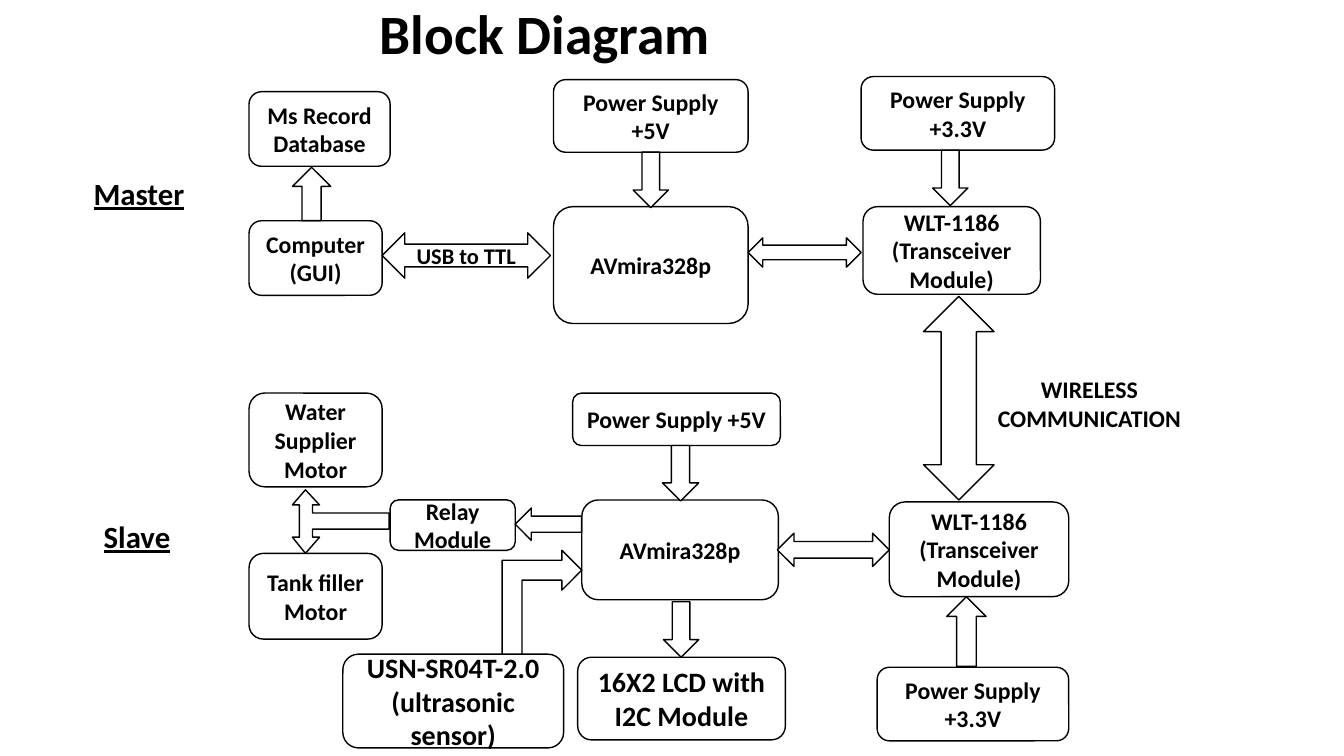
from pptx import Presentation
from pptx import util as u
from pptx.dml.color import RGBColor
from pptx.enum import shapes, text

PX = 9144  # EMU per px, 100 px to the inch
COLORS = {"ink": "000000", "paper": "FFFFFF"}
FONT = "Calibri"
KIND = shapes.MSO_SHAPE


def color(name):
    return RGBColor.from_string(COLORS[name])


class Diagram:
    """Holds the style and the current slide."""

    def __init__(self, page):
        self.page = page

    def set_words(self, shape, lines, size, align, underline=False):
        frame = shape.text_frame
        for number, line in enumerate(lines.split("\n")):
            para = frame.paragraphs[0] if number == 0 else frame.add_paragraph()
            para.text = line
            para.alignment = align
            para.font.name = FONT
            para.font.size = u.Pt(size)
            para.font.bold = True
            para.font.underline = underline
            para.font.color.rgb = color("ink")

    def outline(self, shape):
        shape.shadow.inherit = False
        shape.fill.solid()
        shape.fill.fore_color.rgb = color("paper")
        shape.line.color.rgb = color("ink")
        shape.line.width = u.Pt(1)

    def title(self, words, bounds):
        title = self.page.shapes.title
        title.left, title.top, title.width, title.height = (n * PX for n in bounds)
        frame = title.text_frame
        frame.auto_size = text.MSO_AUTO_SIZE.NONE
        frame.vertical_anchor = text.MSO_ANCHOR.MIDDLE
        self.set_words(title, words, 39.6, text.PP_ALIGN.CENTER)
        frame.paragraphs[0].line_spacing = 0.9

    def block(self, kind, bounds, words="", size=17):
        shape = self.page.shapes.add_shape(kind, *(n * PX for n in bounds))
        self.outline(shape)
        if words:
            self.set_words(shape, words, size, text.PP_ALIGN.CENTER)
        return shape

    def outlined_shape(self, points):
        builder = self.page.shapes.build_freeform(*points[0], scale=PX)
        builder.add_line_segments(points[1:], close=True)
        self.outline(builder.convert_to_shape())

    def label(self, words, bounds, size, align, wrap=True, underline=False):
        box = self.page.shapes.add_textbox(*(n * PX for n in bounds))
        box.text_frame.word_wrap = wrap
        self.set_words(box, words, size, align, underline)


BOXES = [
    # Master row
    ((247, 91, 140, 74), "Ms Record Database"),
    ((549, 79, 193, 72), "Power Supply +5V"),
    ((854, 76, 192, 73), "Power Supply +3.3V"),
    ((247, 219, 132, 74), "Computer\n(GUI)"),
    ((549, 205, 193, 116), "AVmira328p"),
    ((856, 205, 176, 87), "WLT-1186 (Transceiver Module)"),
    # Slave row
    ((247, 390, 132, 93), "Water Supplier Motor"),
    ((247, 549, 132, 85), "Tank filler Motor"),
    ((387, 496, 124, 50), "Relay Module"),
    ((568, 390, 206, 52), "Power Supply +5V"),
    ((577, 496, 195, 99), "AVmira328p"),
    ((882, 498, 178, 94), "WLT-1186 (Transceiver Module)"),
    ((870, 662, 190, 73), "Power Supply +3.3V"),
]

ARROWS = [
    # Master row
    (KIND.UP_ARROW, (290, 166, 38, 53)),
    (KIND.DOWN_ARROW, (628, 151, 35, 55)),
    (KIND.DOWN_ARROW, (925, 149, 35, 55)),
    (KIND.LEFT_RIGHT_ARROW, (742, 236, 112, 29)),
    # Wireless link
    (KIND.UP_DOWN_ARROW, (916, 294, 70, 202)),
    # Slave row
    (KIND.DOWN_ARROW, (657, 442, 36, 55)),
    (KIND.DOWN_ARROW, (658, 597, 35, 55)),
    (KIND.LEFT_ARROW, (511, 504, 66, 32)),
    (KIND.LEFT_RIGHT_ARROW, (771, 529, 111, 33)),
    (KIND.UP_ARROW, (939, 592, 39, 69)),
]

# Three-way arrow from the relay to both motors
RELAY_ARROW = [
    (303, 486), (317, 501), (310, 501), (310, 509), (386, 509), (386, 525),
    (310, 525), (310, 533), (317, 533), (303, 549), (290, 533), (297, 533),
    (297, 501), (290, 501),
]


def main():
    deck = Presentation()
    deck.slide_width, deck.slide_height = 1333 * PX, 750 * PX
    diagram = Diagram(deck.slides.add_slide(deck.slide_layouts[5]))
    diagram.title("Block Diagram", (100, 16, 881, 41))

    # Boxes
    for bounds, words in BOXES:
        diagram.block(KIND.ROUNDED_RECTANGLE, bounds, words)
    diagram.block(KIND.FLOWCHART_ALTERNATE_PROCESS, (340, 649, 219, 93),
                  "USN-SR04T-2.0 (ultrasonic sensor)", 20)
    diagram.block(KIND.ROUNDED_RECTANGLE, (573, 652, 206, 82),
                  "16X2 LCD with I2C Module", 20)

    # Arrows
    for kind, bounds in ARROWS:
        diagram.block(kind, bounds)
    diagram.block(KIND.LEFT_RIGHT_ARROW, (379, 231, 167, 45), "USB to TTL", 16)
    diagram.outlined_shape(RELAY_ARROW)
    sensor_arrow = diagram.block(KIND.BENT_UP_ARROW, (486, 558, 103, 79))
    sensor_arrow.rotation = 270
    sensor_arrow.element.spPr.xfrm.set("flipV", "1")

    # Labels
    diagram.label("WIRELESS\nCOMMUNICATION", (979, 367, 203, 99), 17,
                  text.PP_ALIGN.CENTER, wrap=False)
    for words, bounds in (("Master", (83, 168, 123, 47)),
                          ("Slave", (93, 509, 88, 47))):
        diagram.label(words, bounds, 22, text.PP_ALIGN.LEFT, underline=True)

    deck.save("out.pptx")


if __name__ == "__main__":
    main()
